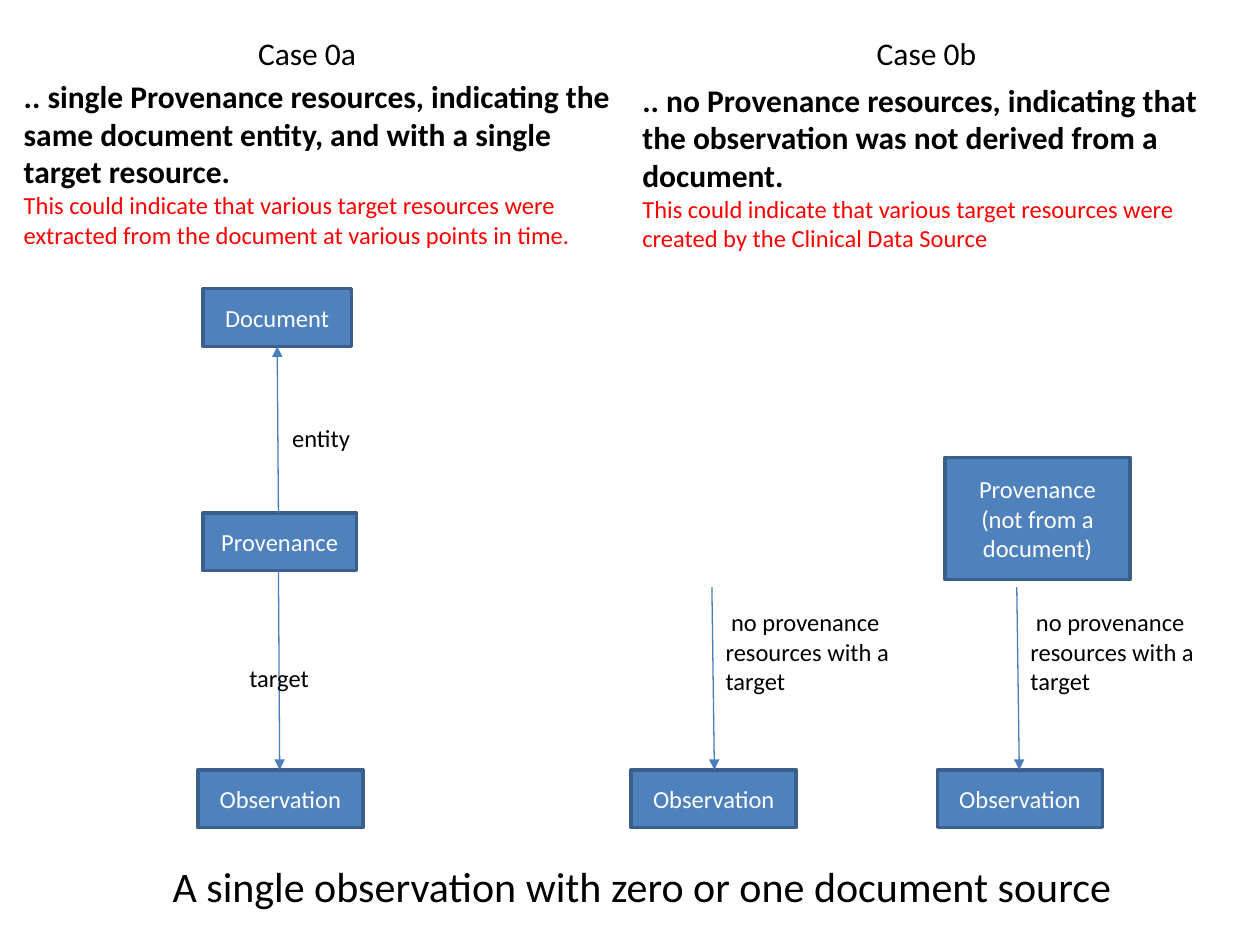
from lxml import etree
from pptx import Presentation
from pptx.dml.color import RGBColor
from pptx.enum import shapes, text
from pptx.oxml.ns import qn
from pptx.util import Inches, Pt

BLACK = RGBColor(0x00, 0x00, 0x00)
WHITE = RGBColor(0xFF, 0xFF, 0xFF)
RED = RGBColor(0xFF, 0x00, 0x00)
BOX_FILL = RGBColor(0x4F, 0x81, 0xBD)
BOX_LINE = RGBColor(0x3A, 0x5F, 0x8C)
ARROW = RGBColor(0x4B, 0x7E, 0xBC)


def add_run(paragraph, wording, size, color=BLACK, bold=False):
    run = paragraph.add_run()
    run.text = wording
    run.font.name = "Calibri"
    run.font.size = Pt(size)
    run.font.bold = bold
    run.font.color.rgb = color


def add_text_box(slide, left, top, width, height, wrap):
    shape = slide.shapes.add_textbox(
        Inches(left), Inches(top), Inches(width), Inches(height))
    shape.text_frame.word_wrap = wrap
    return shape.text_frame.paragraphs[0]


presentation = Presentation()
presentation.slide_width = Inches(10)
presentation.slide_height = Inches(7.5)
slide = presentation.slides.add_slide(presentation.slide_layouts[5])

# Title at the foot of the slide
title = slide.shapes.title
title.left, title.top = Inches(1.06), Inches(6.78)
title.width, title.height = Inches(8.07), Inches(0.5)
title_paragraph = title.text_frame.paragraphs[0]
title_paragraph.alignment = text.PP_ALIGN.CENTER
add_run(title_paragraph, "A single observation with zero or one document source", 24)

# Case headings and descriptions
cases = [
    ("Case 0a", 1.95, 0.09, 0.56,
     ".. single Provenance resources, indicating the same document entity, "
     "and with a single target resource. ",
     "This could indicate that various target resources were extracted "
     "from the document at various points in time."),
    ("Case 0b", 6.86, 5, 0.59,
     ".. no Provenance resources, indicating that the observation was "
     "not derived from a document.",
     "This could indicate that various target resources were created "
     "by the Clinical Data Source"),
]
for heading, heading_left, left, top, summary, meaning in cases:
    add_run(add_text_box(slide, heading_left, 0.22, 1, 0.4, False), heading, 18)
    paragraph = add_text_box(slide, left, top, 5, 1.48, True)
    add_run(paragraph, summary, 18, bold=True)
    paragraph.add_line_break()
    add_run(paragraph, meaning, 14, RED)

# Resource boxes
boxes = [
    (["Document"], 1.61, 2.29, 1.18, 0.46),
    (["Provenance"], 1.61, 4.07, 1.22, 0.46),
    (["Provenance", "(not from a document)"], 7.5, 3.63, 1.47, 0.97),
]
boxes += [(["Observation"], left, 6.11, 1.31, 0.46) for left in (1.57, 5.01, 7.44)]
for lines, left, top, width, height in boxes:
    shape = slide.shapes.add_shape(
        shapes.MSO_SHAPE.RECTANGLE,
        Inches(left), Inches(top), Inches(width), Inches(height))
    shape.shadow.inherit = False
    shape.fill.solid()
    shape.fill.fore_color.rgb = BOX_FILL
    shape.line.color.rgb = BOX_LINE
    shape.line.width = Pt(2)
    frame = shape.text_frame
    frame.word_wrap = True
    frame.vertical_anchor = text.MSO_ANCHOR.MIDDLE
    for index, line in enumerate(lines):
        paragraph = frame.add_paragraph() if index else frame.paragraphs[0]
        paragraph.alignment = text.PP_ALIGN.CENTER
        add_run(paragraph, line, 14, WHITE)

# Arrows between resources
arrows = [
    (2.21, 4.07, 2.2, 2.75),
    (2.21, 4.53, 2.22, 6.11),
    (5.65, 4.66, 5.67, 6.11),
    (8.07, 4.66, 8.09, 6.11),
]
for ends in arrows:
    connector = slide.shapes.add_connector(
        shapes.MSO_CONNECTOR.STRAIGHT, *[Inches(value) for value in ends])
    connector.line.color.rgb = ARROW
    connector.line.width = Pt(0.75)
    properties = connector.line._get_or_add_ln()
    etree.SubElement(properties, qn("a:tailEnd"), type="triangle")
    etree.SubElement(connector._element.spPr, qn("a:effectLst"))

# Arrow labels
no_provenance = " no provenance resources with a target"
labels = [
    ("entity", 2.22, 3.31, 0.7, 0.32, False),
    ("target", 1.88, 5.21, 0.71, 0.32, False),
    (no_provenance, 5.66, 4.77, 1.65, 0.8, True),
    (no_provenance, 8.08, 4.77, 1.65, 0.8, True),
]
for wording, *place in labels:
    add_run(add_text_box(slide, *place), wording, 14)

presentation.save("out.pptx")
